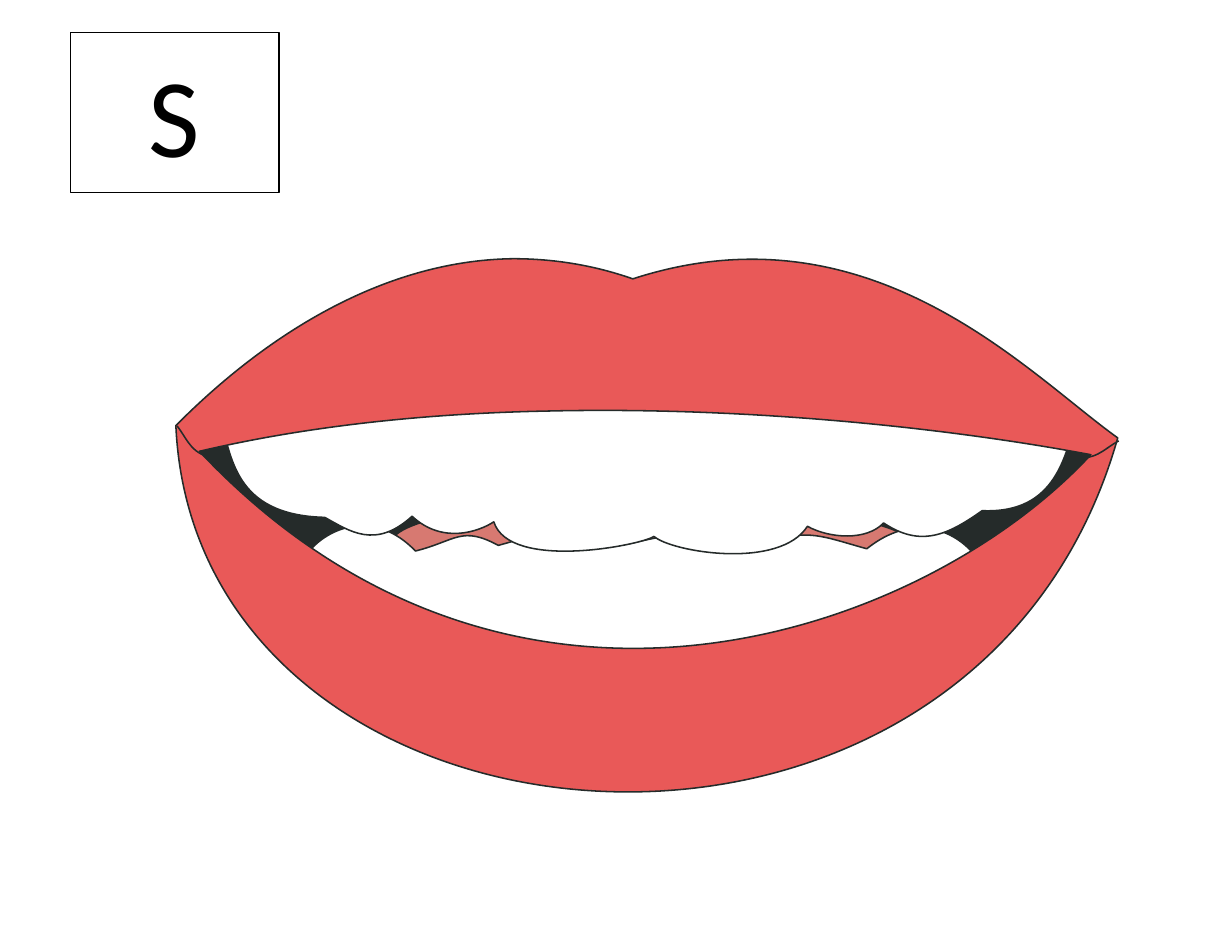
import math

from lxml import etree
from pptx import Presentation
from pptx import util as u
from pptx.dml.color import RGBColor
from pptx.enum import shapes, text
from pptx.oxml import ns

COLORS = {"white": "FFFFFF", "black": "000000", "dark": "252B2A",
          "tongue": "D77971", "lip": "E95958"}


def style(sp, fill, line):
    sp.shadow.inherit = False
    if fill:
        sp.fill.solid()
        sp.fill.fore_color.rgb = RGBColor.from_string(COLORS[fill])
    else:
        sp.fill.background()
    sp.line.color.rgb = RGBColor.from_string(COLORS[line])
    sp.line.width = u.Pt(1)


def curve_points(ctrl):
    """Points on a cubic curve, used to measure its extent."""
    for i in range(101):
        t = i / 100
        w = ((1 - t) ** 3, 3 * t * (1 - t) ** 2, 3 * t * t * (1 - t), t ** 3)
        yield tuple(sum(k * c[a] for k, c in zip(w, ctrl)) for a in (0, 1))


prs = Presentation()
prs.slide_width, prs.slide_height = u.Inches(11), u.Inches(8.5)
s = prs.slides.add_slide(prs.slide_layouts[6])

# Letter card
sp = s.shapes.add_shape(shapes.MSO_SHAPE.RECTANGLE, u.Inches(0.63), u.Inches(0.29),
                        u.Inches(1.86), u.Inches(1.43))
style(sp, "white", "black")
tf = sp.text_frame
tf.vertical_anchor = text.MSO_ANCHOR.MIDDLE
p = tf.paragraphs[0]
p.alignment = text.PP_ALIGN.CENTER
r = p.add_run()
r.text = "S"
for key, value in {"name": "Calibri", "size": u.Pt(72)}.items():
    setattr(r.font, key, value)
r.font.color.rgb = RGBColor.from_string(COLORS["black"])

# Mouth parts from back to front: fill, rotation, centre of rotation, contours.
# A contour is a start and its segments: lines (2 numbers) or cubic curves (6).
parts = [
    # Mouth cavity
    ("dark", 0, (0, 0), [
        [(1.68, 4.02), (4.32, 3.36, 7.69, 3.63, 9.78, 4.06),
         (8.29, 5.8, 4.53, 7.28, 1.68, 4.02)]]),
    # Tongue
    ("tongue", 0, (0, 0), [
        [(3.52, 4.79), (3.94, 4.35, 7.7, 4.4, 8.13, 4.82),
         (8.53, 5.23, 6.63, 6.32, 5.86, 6.32),
         (5.09, 6.31, 3.11, 5.22, 3.52, 4.79)]]),
    # Lower teeth
    ("white", 0, (0, 0), [
        [(3.16, 5.58), (2.02, 5.53, 2.99, 4.17, 3.71, 4.92),
         (4.07, 4.83, 4.12, 4.69, 4.45, 4.87),
         (4.81, 4.77, 5.13, 4.65, 5.59, 4.86),
         (6.05, 4.76, 6.2, 4.71, 6.6, 4.89),
         (7.23, 4.71, 7.27, 4.77, 7.74, 4.9),
         (8.55, 4.25, 9.27, 5.5, 8.51, 5.61),
         (6.28, 5.97, 5.04, 6.19, 3.16, 5.58)]]),
    # Upper teeth
    ("white", 0, (0, 0), [
        [(4.87, 3.39), (6.59, 3.36, 7.97, 3.46, 9.38, 3.64),
         (9.62, 3.69),
         (9.52, 4.05, 9.44, 4.59, 8.77, 4.56),
         (8.46, 4.78, 8.22, 4.89, 7.89, 4.67),
         (7.74, 4.83, 7.41, 4.81, 7.21, 4.7),
         (6.96, 5.09, 6, 4.93, 5.84, 4.79),
         (5.72, 4.87, 4.55, 5.1, 4.41, 4.66),
         (4.27, 4.75, 3.95, 4.86, 3.68, 4.61),
         (3.35, 4.91, 3.12, 4.74, 2.9, 4.62),
         (2.07, 4.6, 2.07, 4.05, 1.96, 3.72),
         (2.32, 3.57),
         (3.15, 3.47, 4.01, 3.41, 4.87, 3.39)]]),
    # Lips, with the opening as second contour
    ("lip", 0, (0, 0), [
        [(4.58, 2.31), (4.92, 2.31, 5.28, 2.36, 5.65, 2.49),
         (7.77, 1.8, 9.17, 3.33, 9.98, 3.91),
         (8.69, 8.45, 1.75, 7.82, 1.57, 3.8),
         (1.96, 3.41, 3.1, 2.33, 4.58, 2.31)],
        [(4.9, 3.67), (3.83, 3.69, 2.76, 3.8, 1.78, 4.03),
         (4.58, 7, 8.27, 5.65, 9.74, 4.06),
         (8.46, 3.82, 6.68, 3.63, 4.9, 3.67)]]),
    # Left and right corners
    (None, 204.9, (1.76, 3.96), [
        [(1.95, 4.1), (1.68, 4.04, 1.68, 3.93, 1.57, 3.79)]]),
    (None, 175.5, (9.75, 4.02), [
        [(9.51, 4.09), (9.78, 4.12, 9.82, 4.02, 9.97, 3.94)]]),
]

mouth = s.shapes.add_group_shape()
for fill, angle, (cx, cy), contours in parts:
    # Turn the points back by the shape's rotation and measure the outline
    cos, sin = math.cos(math.radians(angle)), math.sin(math.radians(angle))
    steps, outline = [], []
    for contour in contours:
        for i, seg in enumerate(contour):
            pts = [(cx + (x - cx) * cos + (y - cy) * sin,
                    cy - (x - cx) * sin + (y - cy) * cos)
                   for x, y in zip(seg[::2], seg[1::2])]
            tag = "a:moveTo" if i == 0 else "a:lnTo" if len(pts) == 1 else "a:cubicBezTo"
            outline += curve_points([last] + pts) if len(pts) == 3 else pts
            steps.append((tag, pts))
            last = pts[-1]
        if fill:
            steps.append(("a:close", []))
    xs, ys = zip(*outline)
    left, top = u.Inches(min(xs)), u.Inches(min(ys))

    # Make a freeform of that extent, then give it the curves
    builder = mouth.shapes.build_freeform(left, top)
    builder.add_line_segments([(u.Inches(max(xs)), u.Inches(max(ys)))], close=False)
    sp = builder.convert_to_shape()
    path = sp._element.find(".//" + ns.qn("a:path"))
    for child in list(path):
        path.remove(child)
    for tag, pts in steps:
        step = etree.SubElement(path, ns.qn(tag))
        for x, y in pts:
            etree.SubElement(step, ns.qn("a:pt"), x=str(u.Inches(x) - left),
                             y=str(u.Inches(y) - top))
    sp.rotation = angle
    style(sp, fill, "dark")

prs.save("out.pptx")
